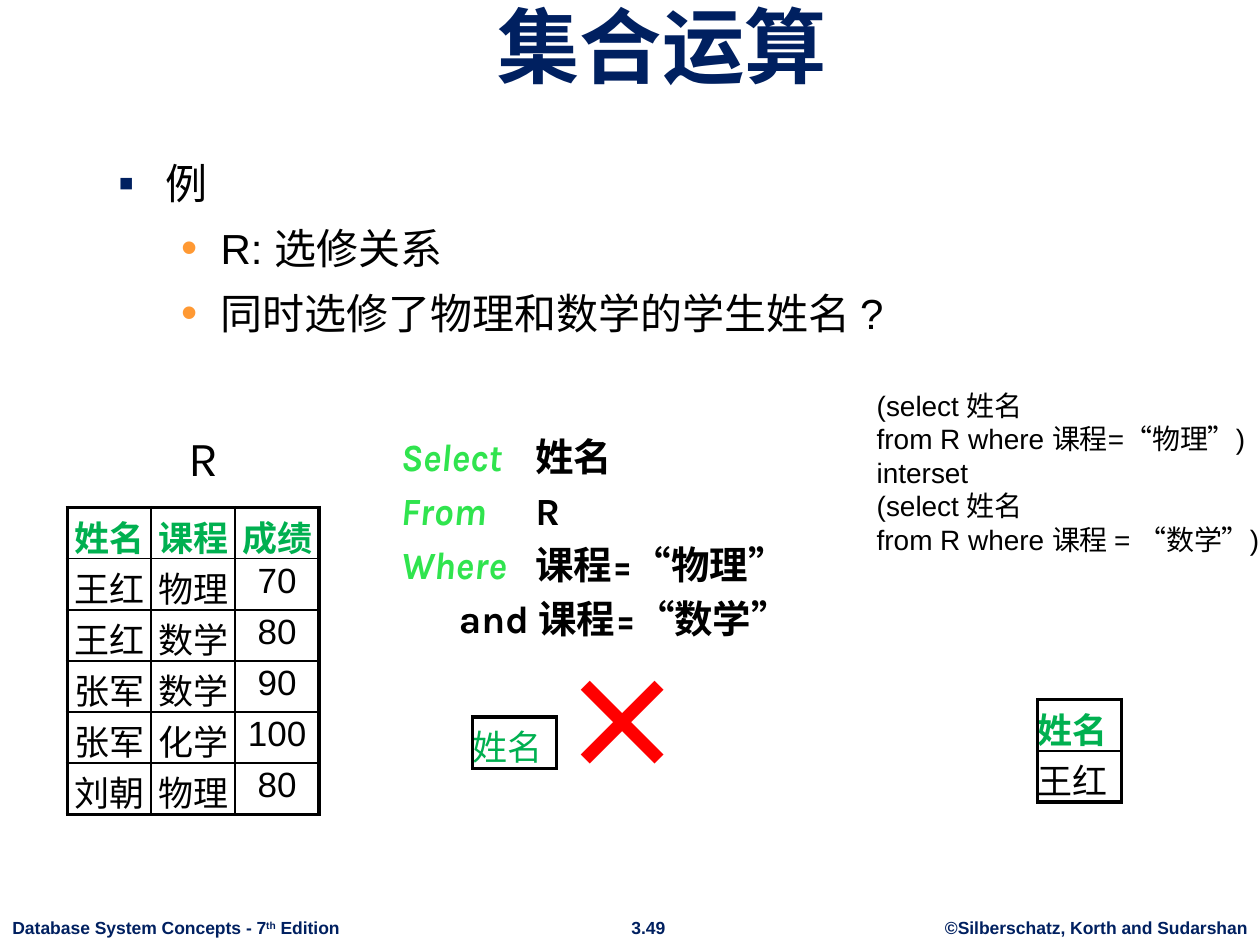
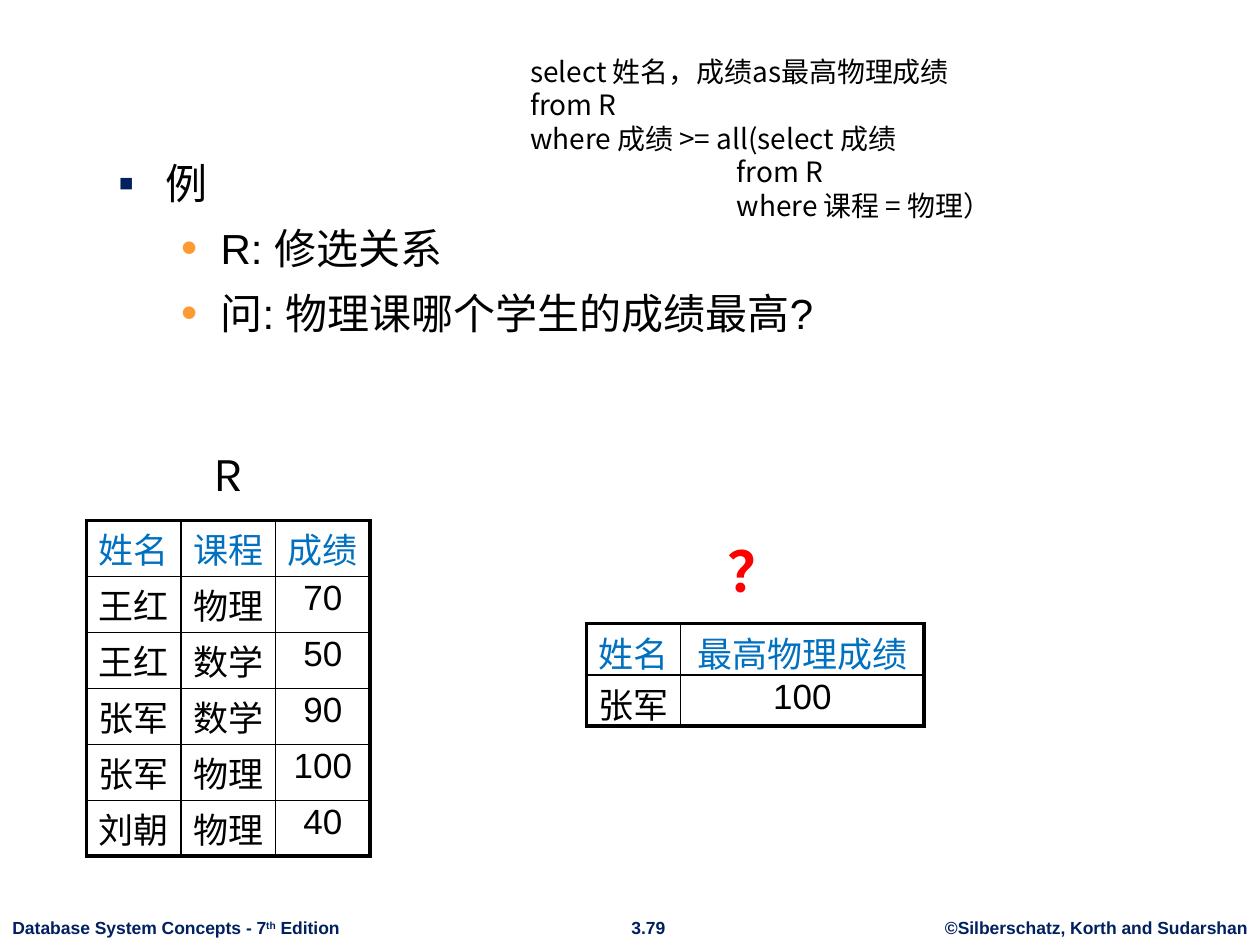
from lxml import etree
from pptx import Presentation
from pptx.dml.color import RGBColor
from pptx.enum.text import MSO_ANCHOR, PP_ALIGN
from pptx.oxml.ns import qn
from pptx.util import Pt

LEFT, CENTER = PP_ALIGN.LEFT, PP_ALIGN.CENTER
BOTTOM = MSO_ANCHOR.BOTTOM
TITLE_ONLY, BLANK = 5, 6
COLORS = {
    "navy": "002060", "orange": "FF9933", "black": "000000", "white": "FFFFFF",
    "green": "00B050", "keyword": "30E44E", "blue": "0070C0", "red": "FF0000",
}
BODY_BOX = (60.5, 86.4, 607, 386)
OUTER_LINE, INNER_LINE = 2.25, 1
ROW_HEIGHT = 29.25


def style(size, color="black", font="Arial", bold=False, italic=False, raised=False):
    return {"size": size, "color": color, "font": font, "bold": bold,
            "italic": italic, "raised": raised}


FOOTER = style(10, "navy", bold=True)
BODY = style(24)
LABEL = style(28, font="Karla")
KEYWORD = style(22, "keyword", "Karla", bold=True, italic=True)
QUERY = style(22, font="Karla", bold=True)
QUOTE = style(22, font="Times New Roman", bold=True)


def add_run(paragraph, text, look):
    run = paragraph.add_run()
    run.text = text
    font = run.font
    font.name, font.size = look["font"], Pt(look["size"])
    font.bold, font.italic = look["bold"], look["italic"]
    font.color.rgb = RGBColor.from_string(COLORS[look["color"]])
    if look["raised"]:
        font._element.set("baseline", "30000")


def add_child(parent, tag, **attributes):
    return etree.SubElement(parent, qn(tag), attributes)


def set_indent(paragraph, left, first=0):
    properties = paragraph._p.get_or_add_pPr()
    properties.set("marL", str(Pt(left)))
    properties.set("indent", str(Pt(first)))
    return properties


def add_text(slide, box, lines, align=LEFT, gap=0, wrap=True, side_margin=7.2):
    """Add a text box; each line is a list of (text, style) runs."""
    shape = slide.shapes.add_textbox(*map(Pt, box))
    frame = shape.text_frame
    frame.word_wrap = wrap
    frame.margin_left = frame.margin_right = Pt(side_margin)
    for index, runs in enumerate(lines):
        paragraph = frame.add_paragraph() if index else frame.paragraphs[0]
        paragraph.alignment = align
        if index and gap:
            paragraph.space_before = Pt(gap)
        for text, look in runs:
            add_run(paragraph, text, look)
    return frame.paragraphs


def add_footer(slide, number):
    edition = [("Database System Concepts - 7", FOOTER),
               ("th", {**FOOTER, "raised": True}), (" Edition", FOOTER)]
    parts = [
        ((0, 202.3), edition, LEFT),
        ((352.8, 35.3), [(number, FOOTER)], CENTER),
        ((532.8, 187.2), [("©Silberschatz, Korth and Sudarshan", FOOTER)], CENTER),
    ]
    for (left, width), runs, align in parts:
        add_text(slide, (left, 520.6, width, 19.4), [runs], align, wrap=False)


def add_title(slide, text):
    title = slide.shapes.title
    title.left, title.top, title.width, title.height = map(Pt, (60.5, 9.4, 635.8, 48.2))
    frame = title.text_frame
    frame.vertical_anchor = BOTTOM
    frame.word_wrap = True
    paragraph = frame.paragraphs[0]
    paragraph.alignment = CENTER
    add_run(paragraph, text, style(47, "navy", bold=True))


def add_body(slide, box, texts):
    """Add a bulleted list: the first text is the heading, the rest its sub-items."""
    paragraphs = add_text(slide, box, [[(text, BODY)] for text in texts], gap=8.4)
    for index, paragraph in enumerate(paragraphs):
        if index:
            left, first, mark, color = 58.5, -22.5, "•", "orange"
            paragraph.level = 1
        else:
            left, first, mark, color = 27, -27, "▪", "navy"
        properties = set_indent(paragraph, left, first)
        bullet_color = add_child(properties, "a:buClr")
        add_child(bullet_color, "a:srgbClr", val=COLORS[color])
        add_child(properties, "a:buSzPct", val="110000")
        add_child(properties, "a:buFont", typeface="Arial")
        add_child(properties, "a:buChar", char=mark)


def set_borders(cell, widths):
    """Draw black borders; widths run left, right, top, bottom."""
    properties = cell._tc.get_or_add_tcPr()
    for side, width in zip("LRTB", widths):
        line = add_child(properties, f"a:ln{side}", w=str(Pt(width)))
        fill = add_child(line, "a:solidFill")
        add_child(fill, "a:srgbClr", val=COLORS["black"])


def add_relation(slide, left, top, column_widths, rows, header,
                 row_height=ROW_HEIGHT, align=CENTER, side_margin=0):
    """Add a table with a thick frame and a heading row in the header style."""
    row_count, column_count = len(rows), len(column_widths)
    table = slide.shapes.add_table(
        row_count, column_count, Pt(left), Pt(top),
        Pt(sum(column_widths)), Pt(row_height * row_count)).table
    table.first_row = table.horz_banding = False
    for column, width in zip(table.columns, column_widths):
        column.width = Pt(width)
    for r, values in enumerate(rows):
        table.rows[r].height = Pt(row_height)
        for c, value in enumerate(values):
            cell = table.cell(r, c)
            cell.margin_left = cell.margin_right = Pt(side_margin)
            cell.margin_top = cell.margin_bottom = Pt(1.6)
            on_edge = (c == 0, c == column_count - 1, r == 0, r == row_count - 1)
            set_borders(cell, [OUTER_LINE if edge else INNER_LINE for edge in on_edge])
            if r == 0:
                cell.fill.solid()
                cell.fill.fore_color.rgb = RGBColor.from_string(COLORS["white"])
            else:
                cell.fill.background()
            paragraph = cell.text_frame.paragraphs[0]
            paragraph.alignment = align
            add_run(paragraph, value, style(20) if r else header)


def add_wrong_query(slide, box):
    def condition(start, subject):
        return start + [("课程=", QUERY), ("“", QUOTE), (subject, QUERY), ("”", QUOTE)]

    paragraphs = add_text(slide, box, [
        [("Select\t", KEYWORD), ("姓名", QUERY)],
        [("From\t", KEYWORD), ("R", QUERY)],
        condition([("Where\t", KEYWORD)], "物理"),
        condition([("      and ", QUERY)], "数学"),
    ], gap=4.4)
    for paragraph in paragraphs[:3]:
        tabs = add_child(paragraph._p.get_or_add_pPr(), "a:tabLst")
        add_child(tabs, "a:tab", pos=str(Pt(77)), algn="l")


def add_code(slide, box, lines, font):
    return add_text(slide, box, [[(line, style(16, font=font))] for line in lines])


def build_set_operations(presentation):
    slide = presentation.slides.add_slide(presentation.slide_layouts[TITLE_ONLY])
    header = style(20, "green", bold=True)
    add_footer(slide, "3.49")
    add_title(slide, "集合运算")
    add_body(slide, BODY_BOX, ["例", "R: 选修关系", "同时选修了物理和数学的学生姓名 ?"])
    add_text(slide, (71.3, 240.5, 90, 41), [[("R", LABEL)]], CENTER)
    add_relation(slide, 38.4, 290, [48] * 3, [
        ("姓名", "课程", "成绩"),
        ("王红", "物理", "70"),
        ("王红", "数学", "80"),
        ("张军", "数学", "90"),
        ("张军", "化学", "100"),
        ("刘朝", "物理", "80"),
    ], header)
    add_relation(slide, 593, 399.8, [48], [("姓名",), ("王红",)], header, align=LEFT)
    add_wrong_query(slide, (221.8, 244.1, 257, 128.2))
    add_relation(slide, 270, 409.8, [48], [("姓名",)], style(20, "green"), align=LEFT)
    cross = style(72, "red", "Noto Sans CJK SC", bold=True)
    add_text(slide, (319.7, 365, 74.2, 93.6), [[("×", cross)]], side_margin=0)
    add_code(slide, (493.9, 218.2, 246.2, 104.4), [
        "(select 姓名",
        "from R where 课程=“物理”)",
        "interset",
        "(select 姓名",
        "from R where 课程 = “数学”)",
    ], "Arial")


def build_highest_score(presentation):
    slide = presentation.slides.add_slide(presentation.slide_layouts[BLANK])
    header = style(20, "blue")
    add_footer(slide, "3.79")
    add_body(slide, BODY_BOX, ["例", "R: 修选关系", "问: 物理课哪个学生的成绩最高?"])
    add_relation(slide, 49.5, 297.4, [54] * 3, [
        ("姓名", "课程", "成绩"),
        ("王红", "物理", "70"),
        ("王红", "数学", "50"),
        ("张军", "数学", "90"),
        ("张军", "物理", "100"),
        ("刘朝", "物理", "40"),
    ], header, row_height=32, side_margin=2.9)
    add_text(slide, (85.7, 249.1, 90, 41), [[("R", LABEL)]], CENTER)
    add_relation(slide, 335, 356.4, [54, 139],
                 [("姓名", "最高物理成绩"), ("张军", "100")], header)
    question = style(32, "red", "Karla", bold=True)
    paragraphs = add_text(slide, (408.2, 297.4, 46.8, 46.8), [[("？", question)]],
                          CENTER, wrap=False)
    paragraphs[0].line_spacing = 1.15
    code = add_code(slide, (295.9, 27.4, 347, 104.4), [
        "select 姓名，成绩as最高物理成绩",
        "from R",
        "where 成绩 >= all(select 成绩",
        "from R",
        "where 课程 = 物理）",
    ], "Noto Sans CJK SC")
    for nested_line in code[3:]:
        set_indent(nested_line, 118)


def main():
    presentation = Presentation()
    presentation.slide_width, presentation.slide_height = Pt(720), Pt(540)
    build_set_operations(presentation)
    build_highest_score(presentation)
    presentation.save("out.pptx")


if __name__ == "__main__":
    main()
